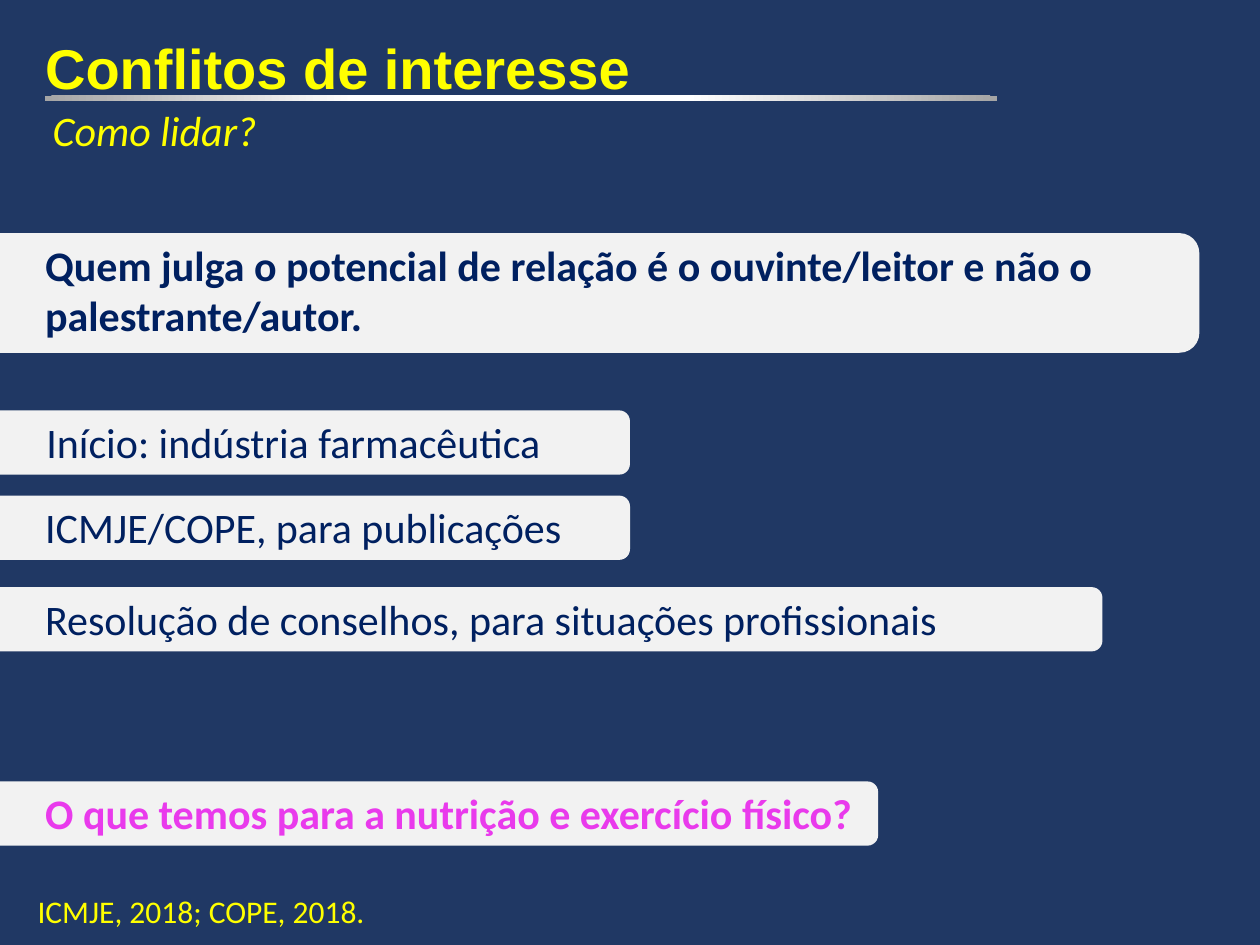
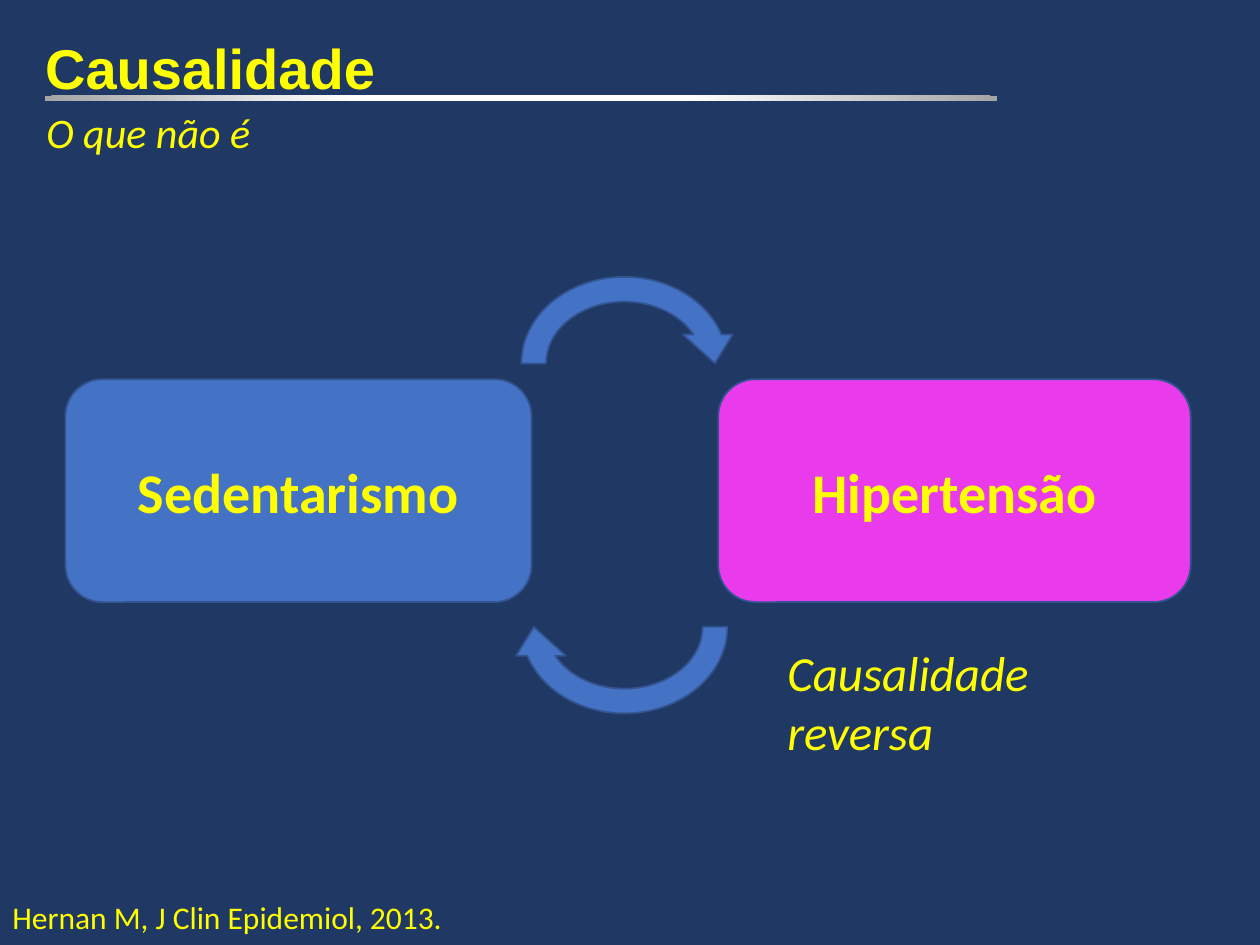
from dataclasses import dataclass

from lxml import etree
from pptx import Presentation
from pptx import util as u
from pptx.dml.color import RGBColor
from pptx.enum import shapes, text
from pptx.oxml import ns

COLORS = {
    "background": "203864",
    "accent": "FFFF00",
    "band": "F2F2F2",
    "navy": "002060",
    "pink": "E93AEC",
    "blue": "4472C4",
    "outline": "325491",
    "rule_light": "FFFFFF",
    "rule_dark": "A5A5A5",
}
BODY_FONT, TITLE_FONT = "Calibri", "Arial"


@dataclass
class Area:
    left: float
    top: float
    width: float
    height: float

    def lengths(self) -> list:
        return [u.Pt(value) for value in (self.left, self.top, self.width, self.height)]


@dataclass
class Band:
    words: str
    area: Area
    text_width: float = 682.5
    text_left: float = 18.7
    color: str = "navy"
    bold: bool = False


@dataclass
class Factor:
    words: str
    area: Area
    fill: str


BANDS = [
    Band("Quem julga o potencial de relação é o ouvinte/leitor e não o palestrante/autor.",
         Area(-32.4, 133.2, 717.8, 68.4), bold=True),
    Band("Início: indústria farmacêutica", Area(-24.5, 234.5, 384.5, 36.7),
         text_width=333.4, text_left=19.4),
    Band("ICMJE/COPE, para publicações", Area(-32.4, 283.2, 392.4, 36.7)),
    Band("Resolução de conselhos, para situações profissionais",
         Area(-32.4, 335.5, 662.4, 36.7)),
    Band("O que temos para a nutrição e exercício físico?",
         Area(-24.5, 446.5, 526.3, 36.7), color="pink", bold=True),
]
FACTORS = [
    Factor("Sedentarismo", Area(37.4, 216.7, 266.4, 127.4), "blue"),
    Factor("Hipertensão", Area(410.4, 216.7, 270, 127.4), "pink"),
]
# Top and rotation of each arrow of the cycle
ARROWS = [(151.2, 0), (301.7, 180)]


def rgb(name: str) -> RGBColor:
    return RGBColor.from_string(COLORS[name])


def write(frame, words: str, *, size: float, color: str = "accent", font: str = BODY_FONT,
          bold: bool = False, italic: bool = False, align=text.PP_ALIGN.LEFT) -> None:
    paragraph = frame.paragraphs[0]
    paragraph.alignment = align
    run = paragraph.add_run()
    run.text = words
    run.font.name = font
    run.font.size = u.Pt(size)
    run.font.bold = bold
    run.font.italic = italic
    run.font.color.rgb = rgb(color)


def add_text(slide, area: Area, words: str, *, wrap: bool = True, grow: bool = True,
             margin_top: float = 3.6, **style) -> None:
    frame = slide.shapes.add_textbox(*area.lengths()).text_frame
    frame.word_wrap = wrap
    frame.auto_size = (text.MSO_AUTO_SIZE.SHAPE_TO_FIT_TEXT if grow
                       else text.MSO_AUTO_SIZE.NONE)
    frame.margin_top = u.Pt(margin_top)
    write(frame, words, **style)


def add_figure(slide, kind, area: Area, fill: str, outline: str | None = None):
    shape = slide.shapes.add_shape(kind, *area.lengths())
    shape.shadow.inherit = False
    shape.fill.solid()
    shape.fill.fore_color.rgb = rgb(fill)
    if outline:
        shape.line.color.rgb = rgb(outline)
        shape.line.width = u.Pt(1)
    else:
        shape.line.fill.background()
    return shape


def add_title_rule(slide) -> None:
    """Thin bar, white in the middle and grey at both ends."""
    shape = add_figure(slide, shapes.MSO_SHAPE.RECTANGLE,
                       Area(25.5, 54.7, 544.3, 2.9), "rule_light")
    stops = "".join(
        f'<a:gs pos="{position * 1000}"><a:srgbClr val="{COLORS[color]}"/></a:gs>'
        for position, color in ((0, "rule_light"), (35, "rule_light"), (100, "rule_dark")))
    gradient = etree.fromstring(
        f'<a:gradFill {ns.nsdecls("a")} rotWithShape="1"><a:gsLst>{stops}</a:gsLst>'
        '<a:path path="circle">'
        '<a:fillToRect l="50000" t="-80000" r="50000" b="180000"/></a:path></a:gradFill>')
    properties = shape.element.spPr
    properties.replace(properties.find(ns.qn("a:solidFill")), gradient)


def add_base_slide(presentation, title: str, subtitle: str, subtitle_area: Area,
                   source: str, source_area: Area):
    """Slide with the shared background, title, rule, subtitle and source."""
    slide = presentation.slides.add_slide(presentation.slide_layouts[6])
    slide.background.fill.solid()
    slide.background.fill.fore_color.rgb = rgb("background")
    add_text(slide, Area(18.7, 13, 700.5, 102.2), title, grow=False, margin_top=6.4,
             size=32, font=TITLE_FONT, bold=True)
    add_title_rule(slide)
    add_text(slide, subtitle_area, subtitle, wrap=False, size=24, italic=True)
    add_text(slide, source_area, source, wrap=False, size=18)
    return slide


def build_conflicts(presentation) -> None:
    slide = add_base_slide(presentation, "Conflitos de interesse",
                           "Como lidar?", Area(23, 56.2, 132.5, 36),
                           "ICMJE, 2018; COPE, 2018.", Area(14.4, 506.2, 203.8, 28.8))
    for band in BANDS:
        add_figure(slide, shapes.MSO_SHAPE.ROUNDED_RECTANGLE, band.area, "band")
        text_area = Area(band.text_left, band.area.top, band.text_width, band.area.height)
        add_text(slide, text_area, band.words, size=24, color=band.color, bold=band.bold)


def build_causality(presentation) -> None:
    slide = add_base_slide(presentation, "Causalidade",
                           "O que não é", Area(19.4, 57.6, 132.5, 36),
                           "Hernan M, J Clin Epidemiol, 2013.", Area(0, 509.8, 263.5, 28.8))
    # Factors
    for factor in FACTORS:
        shape = add_figure(slide, shapes.MSO_SHAPE.ROUNDED_RECTANGLE, factor.area,
                           factor.fill, "outline")
        shape.text_frame.vertical_anchor = text.MSO_ANCHOR.MIDDLE
        write(shape.text_frame, factor.words, size=32, bold=True,
              align=text.PP_ALIGN.CENTER)
    # Cycle between the factors
    for top, rotation in ARROWS:
        arrow = add_figure(slide, shapes.MSO_SHAPE.CIRCULAR_ARROW,
                           Area(290.9, top, 131.8, 113), "blue", "outline")
        arrow.rotation = rotation
    add_text(slide, Area(442.8, 363.6, 180, 72), "Causalidade reversa",
             size=28, italic=True)


def main() -> None:
    presentation = Presentation()
    presentation.slide_width, presentation.slide_height = u.Pt(720), u.Pt(540)
    build_conflicts(presentation)
    build_causality(presentation)
    presentation.save("out.pptx")


if __name__ == "__main__":
    main()
